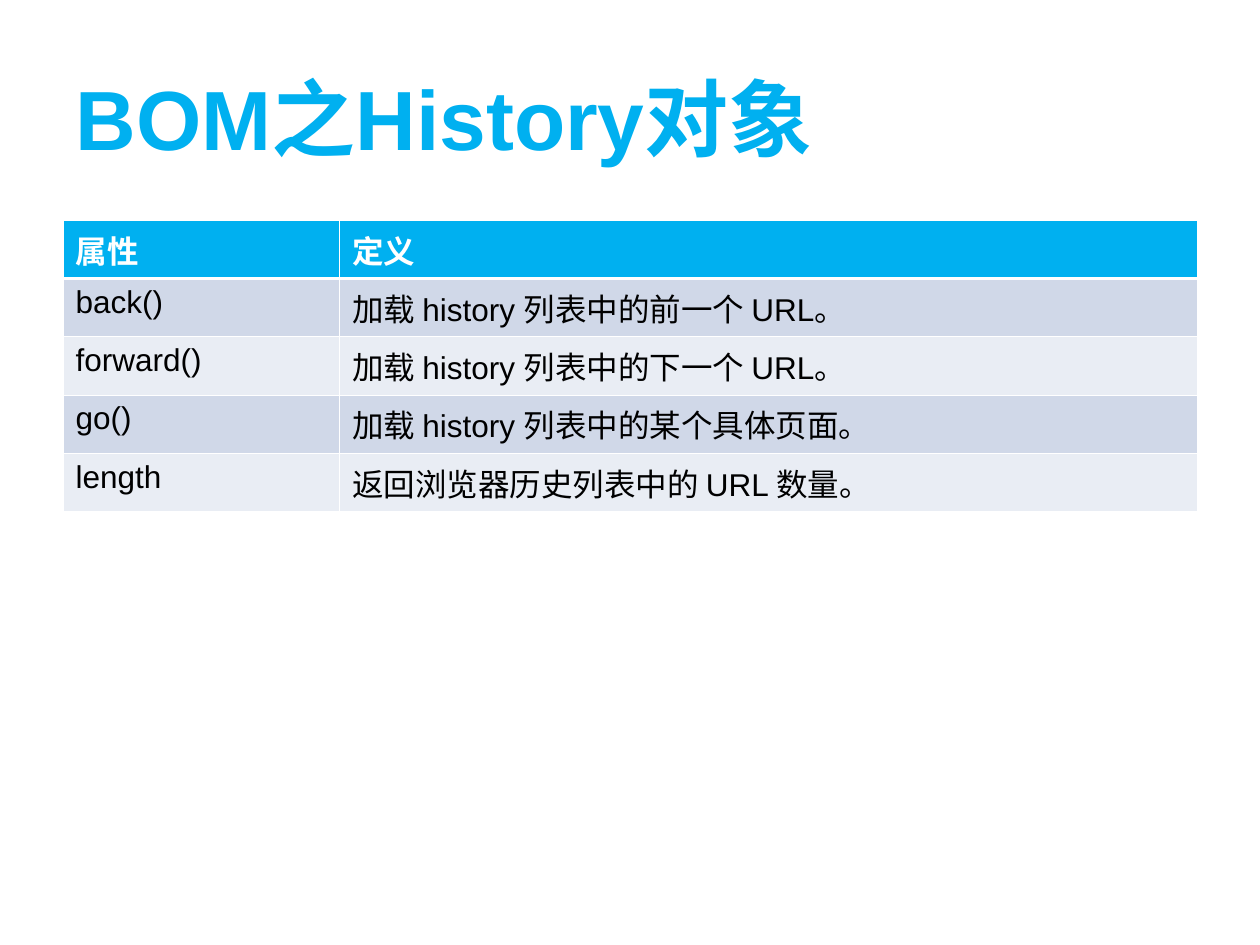
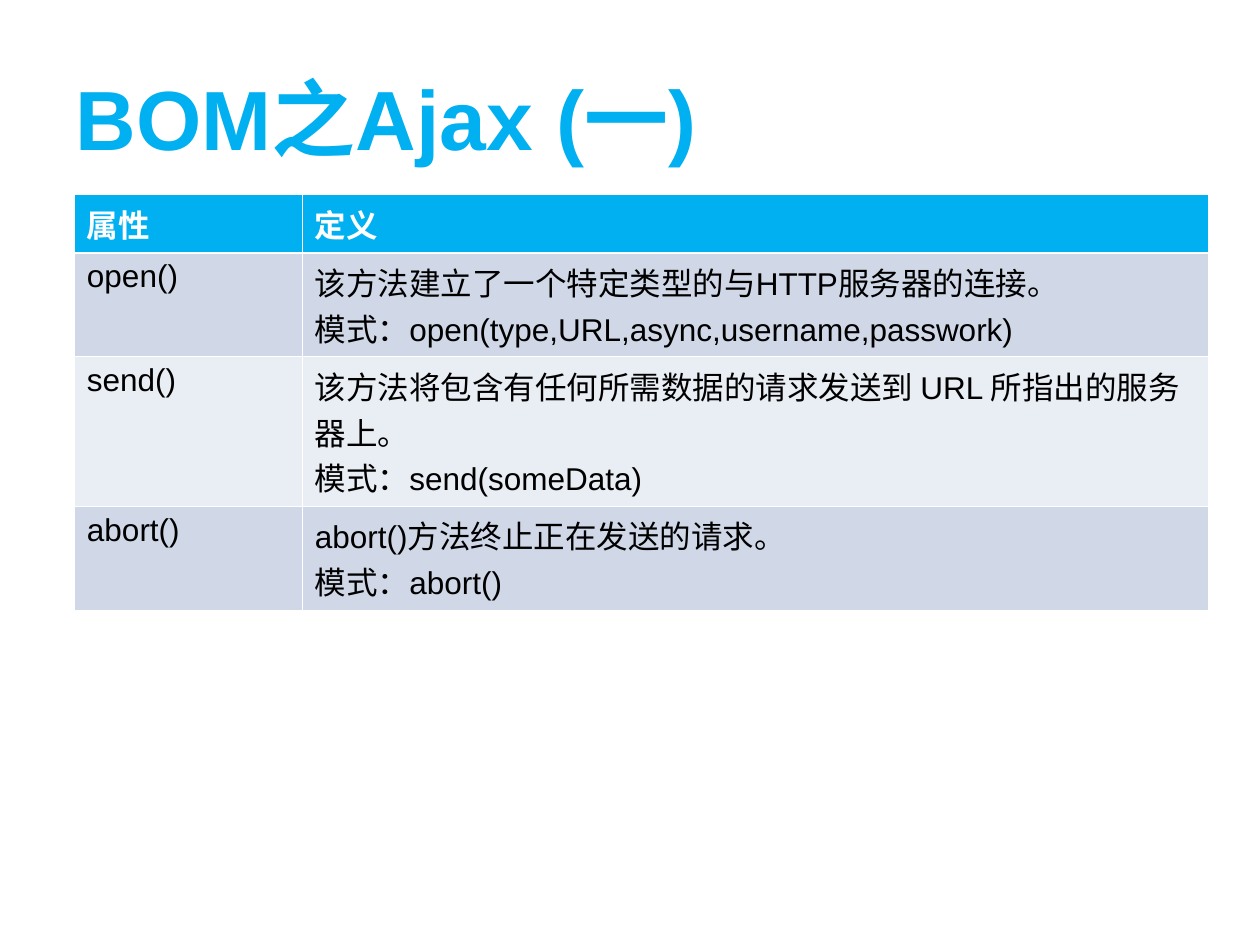
"""Build two slides that list the methods of browser objects in banded tables."""
from dataclasses import dataclass

import pptx
import pptx.dml.color
import pptx.enum.text
import pptx.oxml
import pptx.oxml.ns
import pptx.util

FONT = "Arial"
ACCENT, WHITE, BLACK = "00B0F0", "FFFFFF", "000000"
BANDS = ("D0D8E8", "E9EDF4")
THIN, THICK = 0.45, 1.47
WIDTH, HEIGHT = pptx.util.Inches(10), pptx.util.Inches(7.5)
TITLE_BOX = (0.05, 0.04, 0.9, 1 / 6)
TABLE_WIDTH = 0.9
CELL_PADDING, LINE_HEIGHT = pptx.util.Inches(0.1), pptx.util.Inches(0.3)


@dataclass(frozen=True)
class Entry:
    name: str
    definition: str
    lines: int = 1


@dataclass(frozen=True)
class Page:
    title: str
    left: float
    top: float
    name_share: float
    entries: tuple[Entry, ...]


HEADER = Entry("属性", "定义")
PAGES = (
    Page("BOM之History对象", 0.05, 0.233, 0.244, (
        Entry("back()", "加载 history 列表中的前一个 URL。"),
        Entry("forward()", "加载 history 列表中的下一个 URL。"),
        Entry("go()", "加载 history 列表中的某个具体页面。"),
        Entry("length", "返回浏览器历史列表中的 URL 数量。"),
    )),
    Page("BOM之Ajax (一)", 0.059, 0.206, 0.201, (
        Entry("open()", "该方法建立了一个特定类型的与HTTP服务器的连接。 \v"
              "模式：open(type,URL,async,username,passwork)", 2),
        Entry("send()", "该方法将包含有任何所需数据的请求发送到 URL 所指出的服务器上。\v"
              "模式：send(someData)", 3),
        Entry("abort()", "abort()方法终止正在发送的请求。\v模式：abort()", 2),
    )),
)


def color(value: str) -> pptx.dml.color.RGBColor:
    return pptx.dml.color.RGBColor.from_string(value)


def style(paragraph, size: float, value: str, bold: bool) -> None:
    font = paragraph.font
    font.name, font.size, font.bold = FONT, pptx.util.Pt(size), bold
    font.color.rgb = color(value)
    paragraph.alignment = pptx.enum.text.PP_ALIGN.LEFT


def set_borders(cell, top: float, bottom: float) -> None:
    properties = cell._tc.get_or_add_tcPr()
    widths = {"lnL": THIN, "lnR": THIN, "lnT": top, "lnB": bottom}
    for position, (side, width) in enumerate(widths.items()):
        line = pptx.oxml.parse_xml(
            f'<a:{side} {pptx.oxml.ns.nsdecls("a")} w="{int(pptx.util.Pt(width))}">'
            f'<a:solidFill><a:srgbClr val="{WHITE}"/></a:solidFill></a:{side}>')
        properties.insert(position, line)


def add_title(slide, text: str) -> None:
    title = slide.shapes.title
    left, top, width, height = TITLE_BOX
    title.left, title.top = int(left * WIDTH), int(top * HEIGHT)
    title.width, title.height = int(width * WIDTH), int(height * HEIGHT)
    frame = title.text_frame
    frame.text = text
    frame.vertical_anchor = pptx.enum.text.MSO_ANCHOR.MIDDLE
    style(frame.paragraphs[0], 48, ACCENT, True)


def add_definitions(slide, page: Page) -> None:
    entries = (HEADER, *page.entries)
    heights = [CELL_PADDING + entry.lines * LINE_HEIGHT for entry in entries]
    width = int(TABLE_WIDTH * WIDTH)
    table = slide.shapes.add_table(
        len(entries), 2, int(page.left * WIDTH), int(page.top * HEIGHT),
        width, sum(heights)).table
    table.columns[0].width = int(page.name_share * width)
    table.columns[1].width = width - table.columns[0].width
    for index, (entry, height) in enumerate(zip(entries, heights)):
        table.rows[index].height = height
        is_header = index == 0
        fill = ACCENT if is_header else BANDS[(index - 1) % len(BANDS)]
        for column, text in enumerate((entry.name, entry.definition)):
            cell = table.cell(index, column)
            cell.text_frame.text = text
            style(cell.text_frame.paragraphs[0], 18,
                  WHITE if is_header else BLACK, is_header)
            cell.fill.solid()
            cell.fill.fore_color.rgb = color(fill)
            set_borders(cell, THICK if index == 1 else THIN,
                        THICK if is_header else THIN)


def main() -> None:
    presentation = pptx.Presentation()
    presentation.slide_width, presentation.slide_height = WIDTH, HEIGHT
    title_only = presentation.slide_layouts.get_by_name("Title Only")
    for page in PAGES:
        slide = presentation.slides.add_slide(title_only)
        add_title(slide, page.title)
        add_definitions(slide, page)
    presentation.save("out.pptx")


if __name__ == "__main__":
    main()
